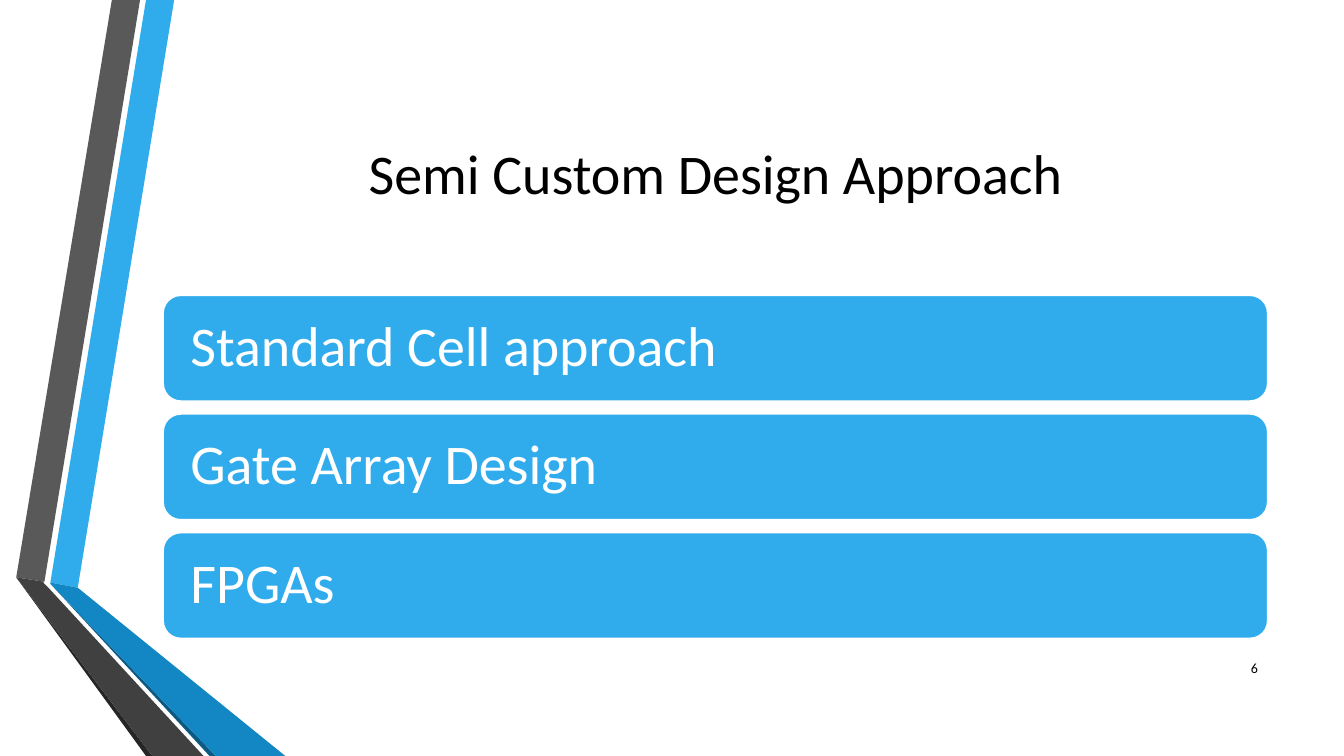
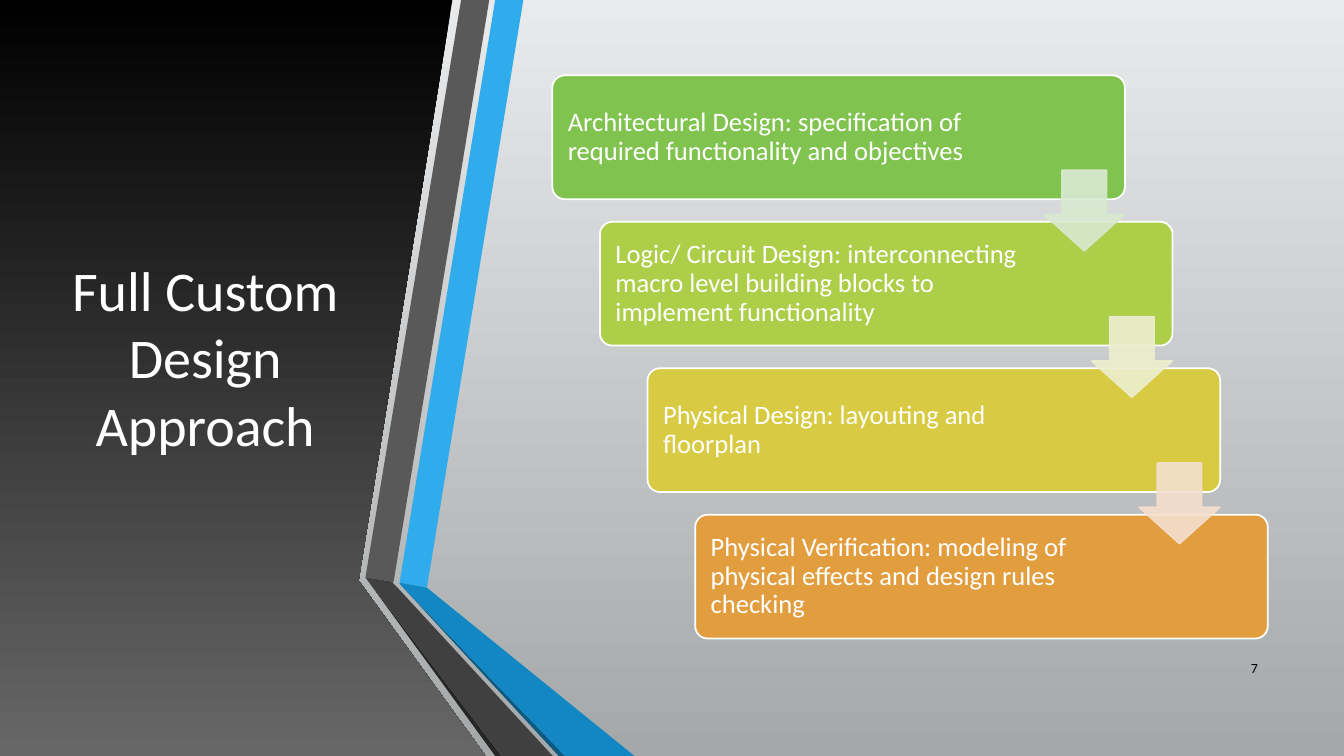
"""Build two slides on semi custom and full custom design approaches."""
from pptx import Presentation
from pptx.dml.color import RGBColor
from pptx.enum import shapes, text
from pptx.oxml.ns import qn
from pptx.util import Cm, Pt
from lxml import etree

FONT = "Calibri"
WIDTH, HEIGHT = 33.87, 19.05
COLORS = {
    "white": "FFFFFF", "black": "000000",
    "blue": "30ACEC", "blue_fold": "1287C3", "blue_edge": "0C5A82",
    "gray": "595959", "gray_fold": "404040", "gray_edge": "262626",
    "page_top": "E9EAEB", "page_bottom": "A5A8A9", "panel_bottom": "676767",
    "green": "80C34F", "lime": "ADCE49", "yellow": "D8CB43", "orange": "E29D3E",
    "pale_green": "D8E9D0", "pale_lime": "EDEFCF", "pale_orange": "F4DFCE",
}
BANDS = [
    ("blue", [(1.27, 14.68), (1.96, 14.81), (4.39, 0), (3.68, 0)]),
    ("gray", [(3.53, 0), (2.82, 0), (0.41, 14.55), (1.12, 14.66)]),
    ("gray_edge", [(0.41, 14.55), (3.68, HEIGHT), (3.84, HEIGHT)]),
    ("blue_edge", [(1.27, 14.71), (5.28, HEIGHT), (5.44, HEIGHT)]),
    ("blue_fold", [(1.27, 14.71), (5.44, HEIGHT), (7.19, HEIGHT),
                   (1.96, 14.81), (1.27, 14.68)]),
    ("gray_fold", [(5.13, HEIGHT), (1.22, 14.81), (1.09, 14.68),
                   (1.12, 14.66), (0.41, 14.55), (3.84, HEIGHT)]),
]
PANEL = [(0, 0), (11.4, 0), (9.04, 14.63), (12.24, HEIGHT), (0, HEIGHT)]
APPROACHES = ["Standard Cell approach", "Gate Array Design", "FPGAs"]
STEPS = [
    ("green", "Architectural Design: specification of required functionality "
              "and objectives"),
    ("lime", "Logic/ Circuit Design: interconnecting macro level building "
             "blocks to implement functionality"),
    ("yellow", "Physical Design: layouting and floorplan"),
    ("orange", "Physical Verification: modeling of physical effects and "
               "design rules checking"),
]
ARROWS = ["pale_green", "pale_lime", "pale_orange"]


def rgb(name):
    """Return the named colour."""
    return RGBColor.from_string(COLORS[name])


def write(shape, content, *, size, color="white", align="left", spacing=1.0,
          margins=(0.25, 0.13, 0.25, 0.13)):
    """Put one formatted paragraph, centred vertically, into a shape."""
    frame = shape.text_frame
    frame.word_wrap = True
    frame.auto_size = text.MSO_AUTO_SIZE.NONE
    frame.vertical_anchor = text.MSO_ANCHOR.MIDDLE
    (frame.margin_left, frame.margin_top,
     frame.margin_right, frame.margin_bottom) = map(Cm, margins)
    para = frame.paragraphs[0]
    para.alignment = getattr(text.PP_ALIGN, align.upper())
    para.line_spacing = spacing
    span = para.add_run()
    span.text = content
    span.font.name = FONT
    span.font.size = Pt(size)
    span.font.color.rgb = rgb(color)


def shade(fill, top, bottom):
    """Fill with a gradient that runs from top to bottom."""
    fill.gradient()
    fill.gradient_angle = 270
    for stop, name in zip(fill.gradient_stops, (top, bottom)):
        stop.color.rgb = rgb(name)


def add_outline(page, points, shift=0):
    """Add a closed, lineless polygon moved right by shift."""
    corners = [(Cm(x + shift), Cm(y)) for x, y in points]
    builder = page.shapes.build_freeform(*corners[0], scale=1.0)
    builder.add_line_segments(corners[1:], close=True)
    shape = builder.convert_to_shape()
    shape.shadow.inherit = False
    shape.line.fill.background()
    return shape


def add_bands(page, shift=0):
    """Draw the folded blue and gray bands."""
    for color, points in BANDS:
        band = add_outline(page, points, shift)
        band.fill.solid()
        band.fill.fore_color.rgb = rgb(color)


def add_preset(page, kind, place, color, *, line="white", adjust=()):
    """Add a filled and outlined preset shape."""
    shape = page.shapes.add_shape(kind, *map(Cm, place))
    shape.shadow.inherit = False
    shape.fill.solid()
    shape.fill.fore_color.rgb = rgb(color)
    shape.line.color.rgb = rgb(line)
    shape.line.width = Pt(1.25)
    for index, value in enumerate(adjust):
        shape.adjustments[index] = value
    return shape


def add_arrow(page, place, color):
    """Add a slightly transparent down arrow."""
    arrow = add_preset(page, shapes.MSO_SHAPE.DOWN_ARROW, place, color,
                       line=color, adjust=(0.55, 0.45))
    for tone in arrow.element.spPr.iter(qn("a:srgbClr")):
        etree.SubElement(tone, qn("a:alpha"), val="90000")


def set_title(page, content, place, color):
    """Place and format the title in front of what is drawn so far."""
    title = page.shapes.title
    title.left, title.top, title.width, title.height = map(Cm, place)
    write(title, content, size=40, color=color, align="center")
    title.element.getparent().append(title.element)


def add_number(page, number):
    """Add the slide number at the bottom right."""
    box = page.shapes.add_textbox(Cm(30.43), Cm(16.31), Cm(1.52), Cm(1.02))
    write(box, str(number), size=10, color="black", align="right")


def build_semi_custom(page):
    """Draw the list of semi custom approaches."""
    add_bands(page)
    set_title(page, "Semi Custom Design Approach",
              (4.11, 1.9, 27.84, 4.88), "black")
    for row, approach in enumerate(APPROACHES):
        bar = add_preset(page, shapes.MSO_SHAPE.ROUNDED_RECTANGLE,
                         (4.11, 7.44 + row * 2.99, 27.84, 2.67), "blue")
        write(bar, approach, size=40, spacing=0.9, margins=(0.56,) * 4)
    add_number(page, 6)


def build_full_custom(page):
    """Draw the staircase of full custom design steps."""
    shade(page.background.fill, "page_top", "page_bottom")
    shade(add_outline(page, PANEL).fill, "black", "panel_bottom")
    set_title(page, "Full Custom Design Approach",
              (1.5, 1.9, 7.34, 14.17), "white")
    add_bands(page, shift=8.8)
    across, down = 1.2, 3.69
    for row, (color, step) in enumerate(STEPS):
        card = add_preset(page, shapes.MSO_SHAPE.ROUNDED_RECTANGLE,
                          (13.92 + row * across, 1.9 + row * down, 14.43, 3.12),
                          color, adjust=(0.1,))
        write(card, step, size=19, spacing=0.9, margins=(0.3, 0.3, 3.6, 0.3))
    for row, color in enumerate(ARROWS):
        add_arrow(page, (26.31 + row * across, 4.29 + row * down, 2.03, 2.03),
                  color)
    add_number(page, 7)


def main():
    """Build and save the deck."""
    deck = Presentation()
    deck.slide_width, deck.slide_height = Cm(WIDTH), Cm(HEIGHT)
    for build in (build_semi_custom, build_full_custom):
        build(deck.slides.add_slide(deck.slide_layouts[5]))
    deck.save("out.pptx")


if __name__ == "__main__":
    main()
